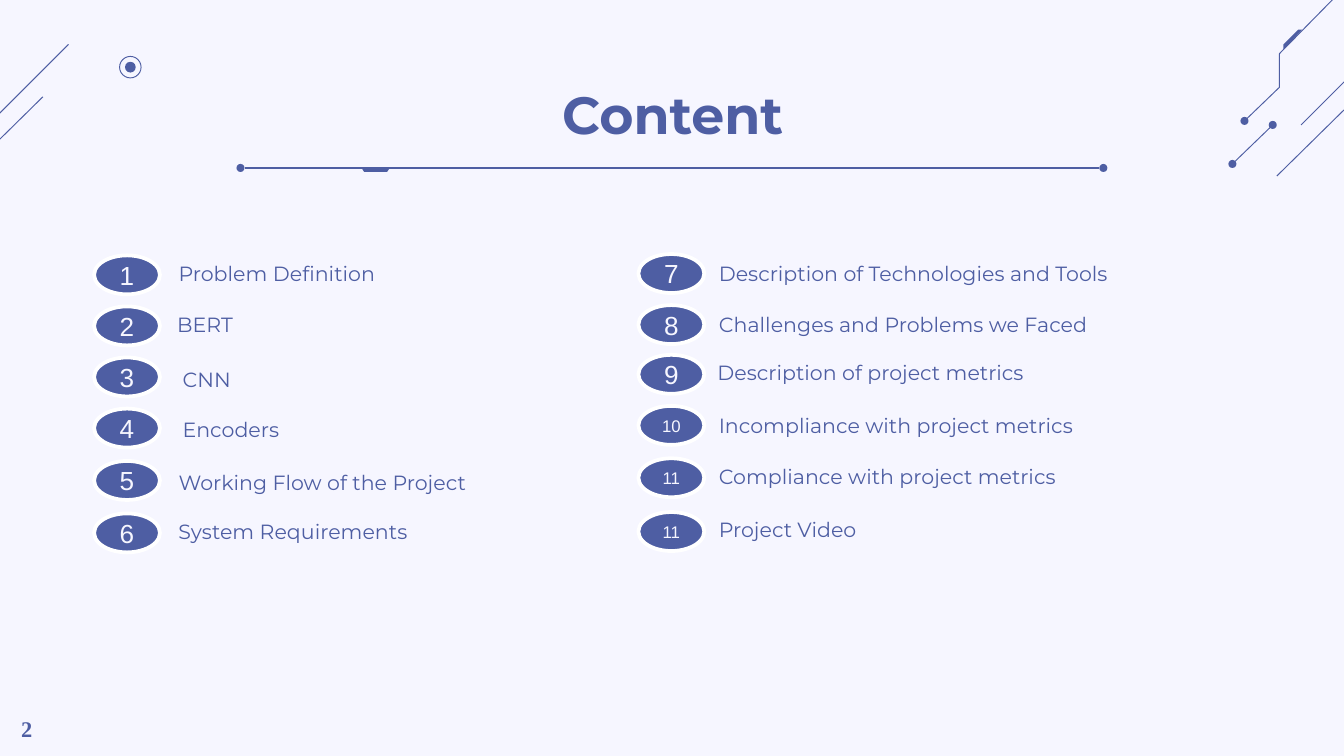
from lxml import etree
from pptx import Presentation
from pptx.dml.color import RGBColor
from pptx.enum.shapes import MSO_CONNECTOR, MSO_SHAPE
from pptx.enum.text import MSO_ANCHOR, PP_ALIGN
from pptx.oxml.ns import qn
from pptx.util import Inches, Pt

BLUE = RGBColor(0x4E, 0x5E, 0xA3)
PALE = RGBColor(0xF6, 0xF6, 0xFF)
WHITE = RGBColor(0xFF, 0xFF, 0xFF)
OVAL = MSO_SHAPE.OVAL
STRAIGHT = MSO_CONNECTOR.STRAIGHT
CENTER = PP_ALIGN.CENTER
LEFT = PP_ALIGN.LEFT
MIDDLE = MSO_ANCHOR.MIDDLE
TOP = MSO_ANCHOR.TOP

# Per column: badge left, then (number, badge top, label, label box)
COLUMNS = [
    (0.7, [
        ("1", 1.9, "Problem Definition", (1.23, 1.94, 1.72, 0.2)),
        ("2", 2.28, "BERT", (1.22, 2.32, 0.71, 0.2)),
        ("3", 2.66, "CNN", (1.26, 2.73, 1.72, 0.2)),
        ("4", 3.04, "Encoders", (1.26, 3.1, 0.99, 0.23)),
        ("5", 3.43, "Working Flow of the Project", (1.23, 3.5, 2.38, 0.23)),
        ("6", 3.82, "System Requirements", (1.23, 3.86, 1.96, 0.2)),
    ]),
    (4.75, [
        ("7", 1.89, "Description of Technologies and Tools", (5.25, 1.94, 3.41, 0.2)),
        ("8", 2.27, "Challenges and Problems we Faced", (5.25, 2.32, 2.99, 0.2)),
        ("9", 2.64, "Description of project metrics", (5.24, 2.68, 2.67, 0.2)),
        ("10", 3.02, "Incompliance with project metrics", (5.25, 3.07, 2.86, 0.2)),
        ("11", 3.41, "Compliance with project metrics", (5.25, 3.45, 2.79, 0.2)),
        ("11", 3.81, "Project Video", (5.25, 3.85, 2.79, 0.2)),
    ]),
]
BADGE = (0.49, 0.29)

# Decoration: line ends, and dots as centre x, centre y, diameter
STROKES = [
    (10.28, 0.33, 9.68, 0.93), (10.1, 0.72, 9.5, 1.31),
    (9.47, 0.93, 9.17, 1.22),
    (0.51, 0.33, -0.09, 0.93), (0.32, 0.72, -0.28, 1.31),
]
DOTS = [(9.47, 0.93, 0.06), (9.17, 1.22, 0.06), (9.26, 0.9, 0.06), (0.97, 0.5, 0.08)]
RING = (0.97, 0.5, 0.16)
TRACE = [(9.26, 0.9), (9.52, 0.65), (9.52, 0.4), (10.08, -0.17)]
SLASH = [(9.55, 0.37), (9.69, 0.22), (9.66, 0.22), (9.55, 0.33)]
TAB = [(2.69, 1.25), (2.9, 1.25), (2.88, 1.28), (2.71, 1.28)]
RULE = (8.18, 1.25, 1.82, 1.25)
RULE_DOTS = [(1.79, 1.25, 0.06), (8.21, 1.25, 0.06)]


def paint(shape, fill=None, line=None, width=0.5):
    shape.shadow.inherit = False
    if fill is None:
        shape.fill.background()
    else:
        shape.fill.solid()
        shape.fill.fore_color.rgb = fill
    if line is None:
        shape.line.fill.background()
    else:
        shape.line.color.rgb = line
        shape.line.width = Pt(width)


def add_line(shapes, ends, width=0.5):
    line = shapes.add_connector(STRAIGHT, *map(Inches, ends))
    line.line.color.rgb = BLUE
    line.line.width = Pt(width)
    etree.SubElement(line._element.spPr, qn("a:effectLst"))


def add_dot(shapes, x, y, size):
    box = (x - size / 2, y - size / 2, size, size)
    return shapes.add_shape(OVAL, *map(Inches, box))


def add_path(shapes, points, closed):
    spots = [(Inches(x), Inches(y)) for x, y in points]
    pen = shapes.build_freeform(*spots[0])
    pen.add_line_segments(spots[1:], close=closed)
    return pen.convert_to_shape()


def write(shape, text, size, font, color, bold=False, align=LEFT,
          anchor=TOP, inset=(0.1, 0), wrap=True):
    frame = shape.text_frame
    frame.text = text
    frame.word_wrap = wrap
    frame.vertical_anchor = anchor
    frame.margin_left = frame.margin_right = Inches(inset[0])
    frame.margin_top = frame.margin_bottom = Inches(inset[1])
    par = frame.paragraphs[0]
    par.alignment = align
    face = par.runs[0].font
    face.size = Pt(size)
    face.name = font
    face.bold = bold
    face.color.rgb = color


def add_text(shapes, box, *args, **style):
    write(shapes.add_textbox(*map(Inches, box)), *args, **style)


def decorate(shapes):
    for ends in STROKES:
        add_line(shapes, ends)
    add_line(shapes, RULE, 0.75)
    for dot in DOTS + RULE_DOTS:
        paint(add_dot(shapes, *dot), BLUE)
    paint(add_dot(shapes, *RING), line=BLUE)
    paint(add_path(shapes, TRACE, False), line=BLUE)
    for points in (SLASH, TAB):
        paint(add_path(shapes, points, True), BLUE)


def main():
    deck = Presentation()
    deck.slide_width = Inches(10)
    deck.slide_height = Inches(10 * 9 / 16)
    slide = deck.slides.add_slide(deck.slide_layouts[6])
    back = slide.background.fill
    back.solid()
    back.fore_color.rgb = PALE
    shapes = slide.shapes

    decorate(shapes)
    add_text(shapes, (0.86, 0.61, 8.29, 0.57), "Content", 28, "Montserrat",
             BLUE, bold=True, align=CENTER)
    add_text(shapes, (0.06, 5.27, 0.27, 0.3), "2", 12, "Times New Roman",
             BLUE, bold=True, inset=(0.1, 0.05), wrap=False)

    for left, items in COLUMNS:
        for number, top, label, box in items:
            badge = shapes.add_shape(OVAL, *map(Inches, (left, top, *BADGE)))
            paint(badge, BLUE, WHITE, 2)
            size = 14 if len(number) == 1 else 9
            write(badge, number, size, "Arial", PALE, align=CENTER,
                  anchor=MIDDLE, inset=(0, 0), wrap=False)
            add_text(shapes, box, label, 11, "Montserrat", BLUE)

    deck.save("out.pptx")


if __name__ == "__main__":
    main()
